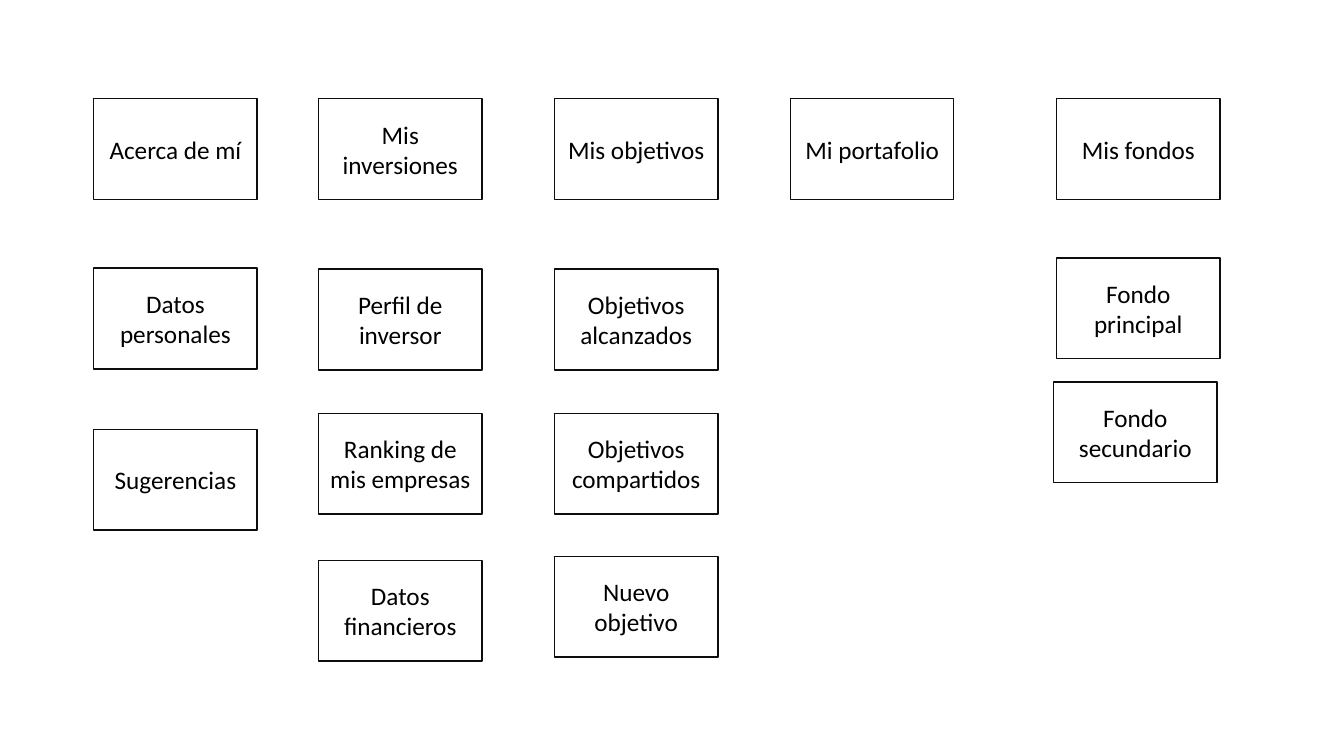
from pptx import Presentation
from pptx.dml.color import RGBColor
from pptx.enum.shapes import MSO_SHAPE as Shape
from pptx.enum.text import MSO_ANCHOR as Anchor, PP_ALIGN as Align
from pptx.util import Inches, Pt

OUTLINE = RGBColor(0x0D, 0x0D, 0x0D)
INK = RGBColor(0, 0, 0)

BOX_WIDTH, BOX_HEIGHT = 1.62, 1
HEADER_TOP = 0.98
FIRST_ROW = 2.67
ROW_STEP = 1.43
SECOND_ROW = FIRST_ROW + ROW_STEP

# Menu columns: left edge, then each box's top and label
MENU = [
    (0.93, [(HEADER_TOP, "Acerca de mí"),
            (2.66, "Datos personales"),
            (4.26, "Sugerencias")]),
    (3.16, [(HEADER_TOP, "Mis inversiones"),
            (FIRST_ROW, "Perfil de inversor"),
            (SECOND_ROW, "Ranking de mis empresas"),
            (5.56, "Datos financieros")]),
    (5.5, [(HEADER_TOP, "Mis objetivos"),
           (FIRST_ROW, "Objetivos alcanzados"),
           (SECOND_ROW, "Objetivos compartidos"),
           (5.52, "Nuevo objetivo")]),
    (7.84, [(HEADER_TOP, "Mi portafolio")]),
    (10.48, [(HEADER_TOP, "Mis fondos"),
             (2.56, "Fondo principal")]),
    (10.45, [(3.79, "Fondo secundario")]),
]

# Blank slide
deck = Presentation()
deck.slide_width, deck.slide_height = Inches(13.33), Inches(7.5)
page = deck.slides.add_slide(deck.slide_layouts[6])

# Site map boxes
for left, entries in MENU:
    for top, label in entries:
        box = page.shapes.add_shape(Shape.RECTANGLE, Inches(left), Inches(top),
                                    Inches(BOX_WIDTH), Inches(BOX_HEIGHT))
        box.shadow.inherit = False
        box.fill.background()
        box.line.color.rgb = OUTLINE
        box.line.width = Pt(1)

        frame = box.text_frame
        frame.text = label
        frame.word_wrap = True
        frame.vertical_anchor = Anchor.MIDDLE
        para = frame.paragraphs[0]
        para.alignment = Align.CENTER
        font = para.runs[0].font
        font.name, font.size = "Calibri", Pt(18)
        font.color.rgb = INK

deck.save("out.pptx")
